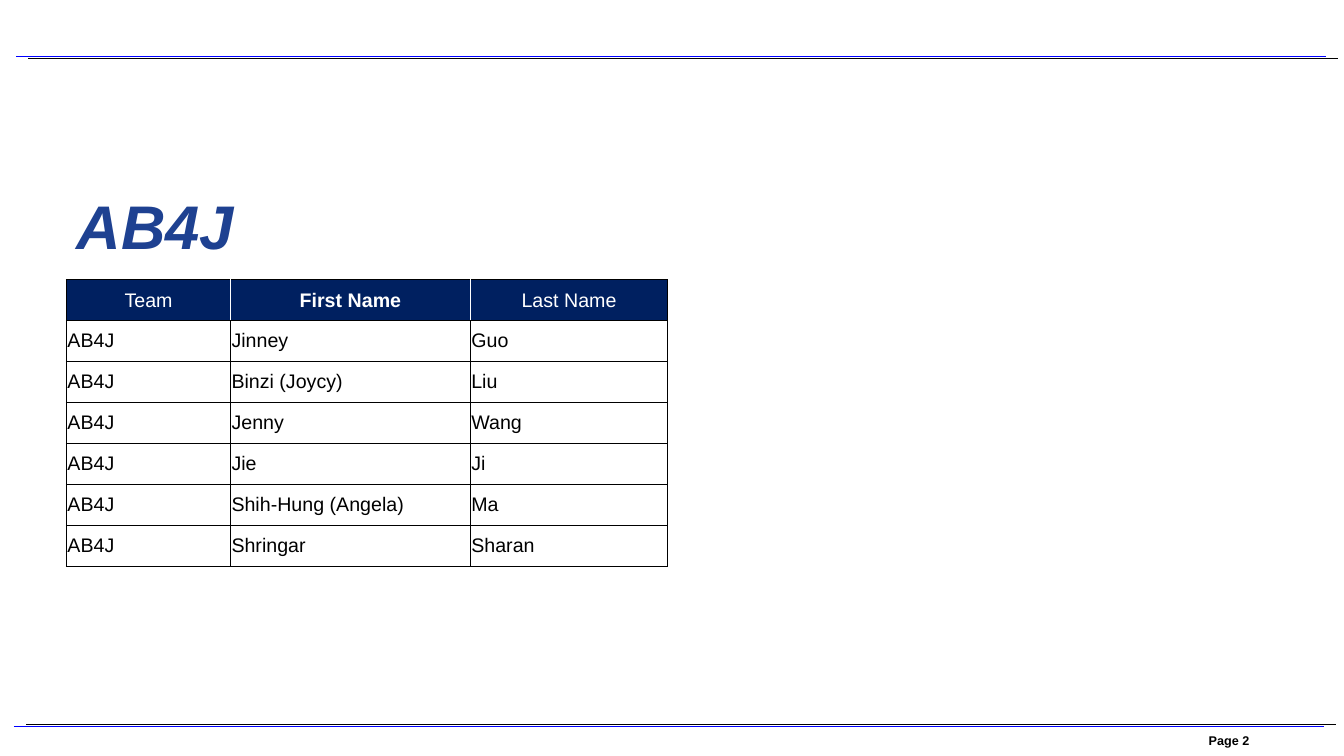
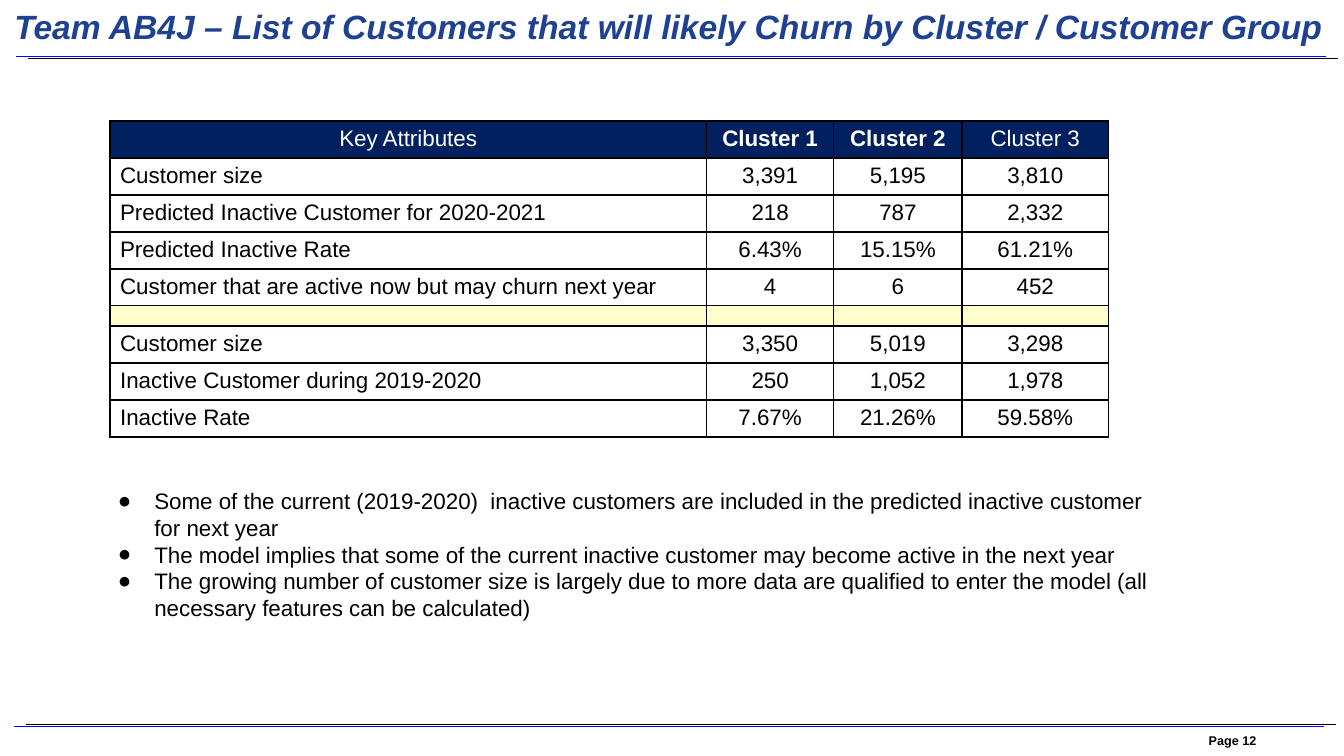
from dataclasses import dataclass

from lxml import etree
from pptx import Presentation
from pptx import util as u
from pptx.dml.color import RGBColor
from pptx.enum import shapes, text
from pptx.oxml import ns


@dataclass(frozen=True)
class Theme:
    font: str = "Arial"
    title: str = "1E4191"
    header: str = "002060"
    spacer: str = "FFFFCC"
    rule: str = "0000FF"
    black: str = "000000"
    white: str = "FFFFFF"
    cover_size: int = 44
    title_size: int = 24
    body_size: int = 16
    names_size: int = 14
    page_size: int = 9
    spacer_size: int = 6


theme = Theme()
LEFT, CENTER = text.PP_ALIGN.LEFT, text.PP_ALIGN.CENTER


def write(para, words, size=theme.body_size, color=theme.black, bold=False,
          italic=False, align=LEFT):
    para.alignment = align
    para.space_before = u.Pt(0)
    span = para.add_run()
    span.text = words
    font = span.font
    font.name, font.size, font.bold, font.italic = theme.font, u.Pt(size), bold, italic
    font.color.rgb = RGBColor.from_string(color)


def draw_table(page, left, top, widths, heights, rows, size, body_margins,
               body_align, divider, anchor):
    """Add a bordered table; an empty row becomes a coloured spacer, and divider colours the header's inner lines."""
    table = page.shapes.add_table(
        len(rows), len(widths), u.Pt(left), u.Pt(top),
        u.Pt(sum(widths)), u.Pt(sum(heights))).table
    table.horz_banding = False
    for column, width in zip(table.columns, widths):
        column.width = u.Pt(width)
    last = len(widths) - 1
    for r, (row, height) in enumerate(zip(rows, heights)):
        table.rows[r].height = u.Pt(height)
        header = r == 0
        spacer = not any(row)
        fill = theme.header if header else theme.spacer if spacer else theme.white
        margins = (7.2, 3.6) if header else body_margins
        for c, words in enumerate(row):
            cell = table.cell(r, c)
            cell.margin_left = cell.margin_right = u.Pt(margins[0])
            cell.margin_top = cell.margin_bottom = u.Pt(margins[1])
            cell.vertical_anchor = anchor
            cell.fill.solid()
            cell.fill.fore_color.rgb = RGBColor.from_string(fill)
            para = cell.text_frame.paragraphs[0]
            if spacer:
                etree.SubElement(para._p, ns.qn("a:endParaRPr"),
                                 sz=str(theme.spacer_size * 100))
            else:
                write(para, words, size=size,
                      color=theme.white if header else theme.black,
                      bold=header and 0 < c < last,
                      align=CENTER if header else body_align[c])
            properties = cell._tc.get_or_add_tcPr()
            for place, side in enumerate("LRTB"):
                inner = (side == "L" and c > 0) or (side == "R" and c < last)
                line = etree.Element(ns.qn(f"a:ln{side}"), w=str(u.Pt(1)))
                solid = etree.SubElement(line, ns.qn("a:solidFill"))
                etree.SubElement(solid, ns.qn("a:srgbClr"),
                                 val=divider if header and inner else theme.black)
                properties.insert(place, line)


deck = Presentation()
deck.slide_width, deck.slide_height = u.Pt(960), u.Pt(540)
TITLE_ONLY, TITLE_AND_BODY = deck.slide_layouts[5], deck.slide_layouts[1]

# Titles, rules and page numbers
rules = [(10, 519.2, theme.rule), (18.9, 517.2, theme.black),
         (11.5, 40.2, theme.rule), (20.2, 41.9, theme.black)]
rule_length = 935.5
frames = [
    (TITLE_ONLY, "Page 2", "AB4J", theme.cover_size, (47.5, 124, 866, 73.4)),
    (TITLE_AND_BODY, "Page 12",
     "Team AB4J – List of Customers that will likely Churn by Cluster / Customer Group",
     theme.title_size, (3, 0, 955, 37.4)),
]
pages = []
for layout, number, heading, size, place in frames:
    page = deck.slides.add_slide(layout)
    pages.append(page)
    for left, top, color in rules:
        rule = page.shapes.add_connector(
            shapes.MSO_CONNECTOR.STRAIGHT, u.Pt(left), u.Pt(top),
            u.Pt(left + rule_length), u.Pt(top))
        rule.line.color.rgb = RGBColor.from_string(color)
        rule.line.width = u.Pt(0.75)
        etree.SubElement(rule._element.spPr, ns.qn("a:effectLst"))

    box = page.shapes.add_textbox(u.Pt(855.4), u.Pt(519.8), u.Pt(100), u.Pt(18.7))
    frame = box.text_frame
    frame.word_wrap = True
    frame.margin_left = frame.margin_right = u.Pt(8)
    frame.margin_top = frame.margin_bottom = u.Pt(4)
    write(frame.paragraphs[0], number, size=theme.page_size, bold=True)

    title = page.shapes.title
    title.left, title.top, title.width, title.height = map(u.Pt, place)
    title.text_frame.auto_size = text.MSO_AUTO_SIZE.NONE
    title.text_frame.vertical_anchor = text.MSO_ANCHOR.MIDDLE
    write(title.text_frame.paragraphs[0], heading, size=size, color=theme.title,
          bold=True, italic=True)

team_page, churn_page = pages

# Team members
members = [("Jinney", "Guo"), ("Binzi (Joycy)", "Liu"), ("Jenny", "Wang"),
           ("Jie", "Ji"), ("Shih-Hung (Angela)", "Ma"), ("Shringar", "Sharan")]
team_rows = [("Team", "First Name", "Last Name")]
team_rows += [("AB4J", first, family) for first, family in members]
draw_table(team_page, 47.5, 199.8, [117.2, 171.3, 141], [29.25] * len(team_rows),
           team_rows, size=theme.names_size, body_margins=(0.7, 0.4),
           body_align=[LEFT] * 3, divider=theme.white, anchor=text.MSO_ANCHOR.MIDDLE)

# Churn by cluster
churn_rows = [
    ("Key Attributes", "Cluster 1", "Cluster 2", "Cluster 3"),
    ("Customer size", "3,391", "5,195", "3,810"),
    ("Predicted Inactive Customer for 2020-2021", "218", "787", "2,332"),
    ("Predicted Inactive Rate", "6.43%", "15.15%", "61.21%"),
    ("Customer that are active now but may churn next year", "4", "6", "452"),
    ("", "", "", ""),
    ("Customer size", "3,350", "5,019", "3,298"),
    ("Inactive Customer during 2019-2020", "250", "1,052", "1,978"),
    ("Inactive Rate", "7.67%", "21.26%", "59.58%"),
]
churn_heights = [26.4 if any(row) else 14.2 for row in churn_rows]
draw_table(churn_page, 78.6, 86.4, [426, 91, 91.6, 104.6], churn_heights,
           churn_rows, size=theme.body_size, body_margins=(7.2, 3.6),
           body_align=[LEFT] + [CENTER] * 3, divider=theme.black,
           anchor=text.MSO_ANCHOR.TOP)

# Remarks
remarks = [
    "Some of the current (2019-2020)  inactive customers are included in the predicted inactive customer for next year",
    "The model implies that some of the current inactive customer may become active in the next year",
    "The growing number of customer size is largely due to more data are qualified to enter the model (all necessary features can be calculated)",
]
body = churn_page.placeholders[1]
body.left, body.top, body.width, body.height = map(u.Pt, (67, 340.6, 766.8, 134))
frame = body.text_frame
frame.auto_size = text.MSO_AUTO_SIZE.NONE
frame.vertical_anchor = text.MSO_ANCHOR.TOP
frame.margin_left = frame.margin_right = frame.margin_top = frame.margin_bottom = u.Pt(7.2)
for i, remark in enumerate(remarks):
    para = frame.add_paragraph() if i else frame.paragraphs[0]
    properties = para._p.get_or_add_pPr()
    properties.set("marL", str(u.Pt(36)))
    properties.set("indent", str(u.Pt(-26)))
    bullet_color = etree.SubElement(properties, ns.qn("a:buClr"))
    etree.SubElement(bullet_color, ns.qn("a:srgbClr"), val=theme.black)
    etree.SubElement(properties, ns.qn("a:buChar"), char="●")
    write(para, remark)

deck.save("out.pptx")
